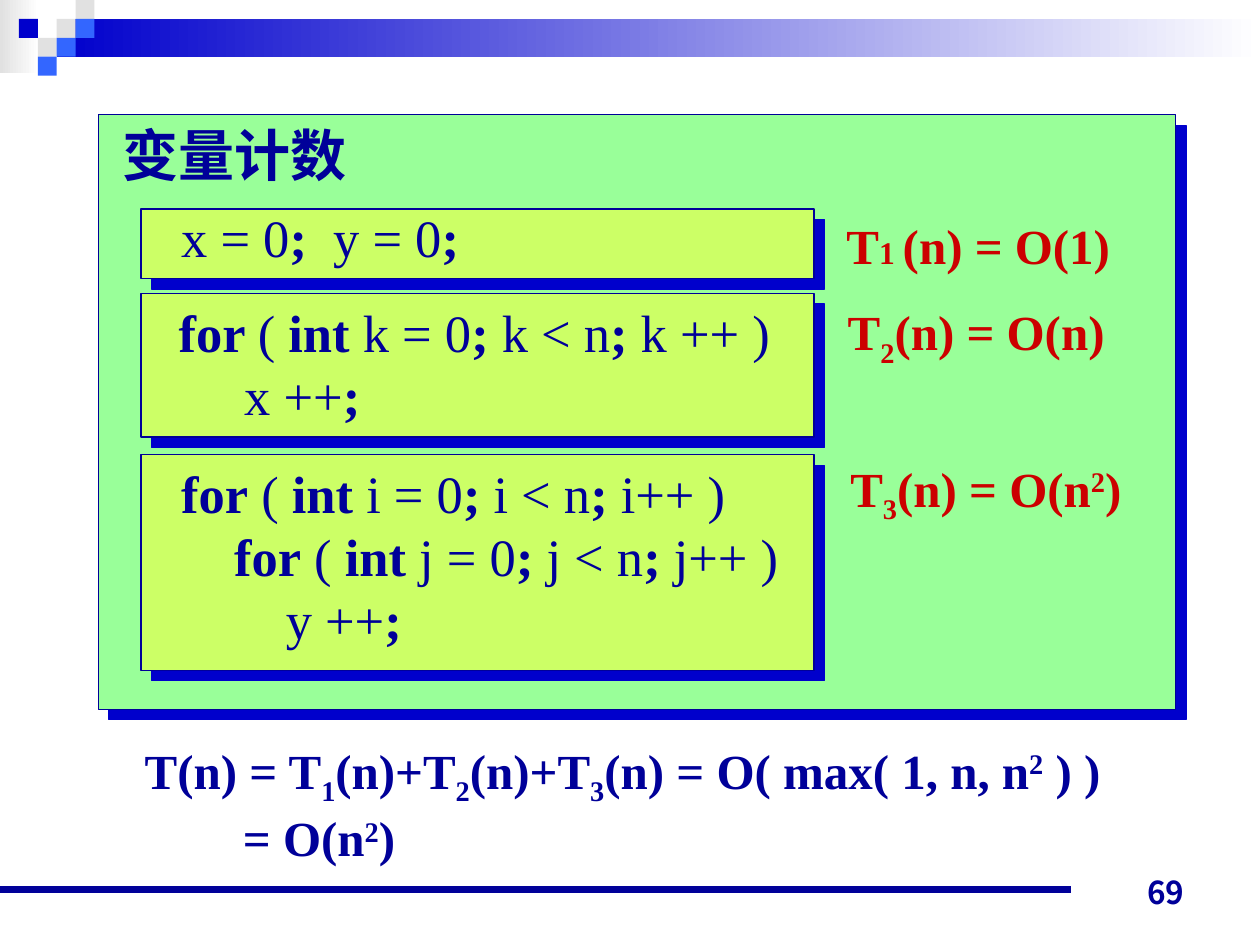
import pptx
import pptx.util
import pptx.dml.color
import pptx.enum.shapes
import pptx.enum.text
import pptx.oxml
import pptx.oxml.ns
from pptx.util import Inches

NAVY, BLUE, SKY, GREY, WHITE, RED = "000099", "0000CC", "3366FF", "E1E1E1", "FFFFFF", "CC0000"
GREEN, LIME = "99FF99", "CCFF66"
SERIF, SANS = "Times New Roman", "Noto Sans CJK JP"

# Content: "|" parts the runs; a leading * is bold, _ subscript, ^ superscript, ~ small.
# Each line is (left indent, markup).
heading = "变量计数"
page_number = "69"
code_blocks = [
    # panel top, panel height, text box, lines
    (1.66, 0.55, (1.34, 1.58, 2.4, 0.6), [(0, "x = 0|*;|  y = 0|*;")]),
    (2.33, 1.14, (1.32, 2.33, 4.9, 1.1), [
        (0, "*for |(|* int| k = 0|*;| k < n|*;| k ++ )"),
        (0.52, "x ++|*;")]),
    (3.61, 1.71, (1.34, 3.61, 4.93, 1.6), [
        (0, "*for| (|* int |i = 0|*;| i < n|*;| i++ )"),
        (0.42, "*for| (|* int| j = 0|*;| j < n|*;| j++ )"),
        (0.83, "y ++|*;")]),
]
# box, colour, lines
formulas = [
    ((6.62, 1.66, 2.3, 0.57), RED, [(0, "T|~1 |(n) = O(1)")]),
    ((6.63, 2.35, 2.24, 0.63), RED, [(0, "T|_2|(n) = O(n)")]),
    ((6.65, 3.59, 2.35, 0.63), RED, [(0, "T|_3|(n) = O(n|^2|)")]),
    ((1.05, 5.83, 7.79, 1.1), NAVY, [
        (0, "T(n) = T|_1|(n)+T|_2|(n)+T|_3|(n) = O( max( 1, n, n|^2| ) )"),
        (0.78, "= O(n|^2|)")]),
]
# Banner squares as (column, row, colour) on a 0.15 inch grid
squares = [(3, 1, GREY), (4, 0, GREY), (4, 1, SKY), (2, 2, GREY),
           (1, 1, BLUE), (3, 2, SKY), (2, 3, SKY)]
SQUARE = 0.15

prs = pptx.Presentation()
prs.slide_width, prs.slide_height = Inches(10), Inches(7.5)
slide = prs.slides.add_slide(prs.slide_layouts[5])


def rgb(value):
    return pptx.dml.color.RGBColor.from_string(value)


def add_rect(left, top, width, height, *colours):
    """A borderless rectangle; two colours make a gradient to the right."""
    rect = slide.shapes.add_shape(pptx.enum.shapes.MSO_SHAPE.RECTANGLE,
                                  *map(Inches, (left, top, width, height)))
    rect.shadow.inherit = False
    rect.line.fill.background()
    if len(colours) == 1:
        rect.fill.solid()
        rect.fill.fore_color.rgb = rgb(colours[0])
    else:
        rect.fill.gradient()
        rect.fill.gradient_angle = 0
        for stop, colour, position in zip(rect.fill.gradient_stops, colours, (0, 1)):
            stop.color.rgb = rgb(colour)
            stop.position = position
    return rect


def add_panel(left, top, width, height, colour):
    """An outlined rectangle with a hard shadow to the lower right."""
    panel = add_rect(left, top, width, height, colour)
    panel.line.color.rgb = rgb(NAVY)
    panel.line.width = pptx.util.Pt(0.75)
    effects = panel.element.spPr.find(pptx.oxml.ns.qn("a:effectLst"))
    effects.append(pptx.oxml.parse_xml(
        f'<a:outerShdw {pptx.oxml.ns.nsdecls("a")} blurRad="0" dist="107950" dir="2700000" '
        f'algn="ctr" rotWithShape="0"><a:srgbClr val="{BLUE}"/></a:outerShdw>'))


def style_run(run, size, colour, bold, face=SERIF):
    run.font.size = pptx.util.Pt(size)
    run.font.name = face
    run.font.bold = bold
    run.font.color.rgb = rgb(colour)


def keep_on_one_line(frame):
    """Turn wrapping off and free the right inset as slack for tight boxes."""
    frame.word_wrap = False
    frame.margin_right = 0


def add_text(box, lines, size, colour, bold):
    frame = slide.shapes.add_textbox(*map(Inches, box)).text_frame
    keep_on_one_line(frame)
    for number, (indent, markup) in enumerate(lines):
        paragraph = frame.add_paragraph() if number else frame.paragraphs[0]
        # Subscripts need a deeper line
        paragraph.line_spacing = pptx.util.Pt(round(size * 1.2) + (4 if "_" in markup else 0))
        if indent:
            paragraph._p.get_or_add_pPr().set("marL", str(Inches(indent)))
        for part in markup.split("|"):
            mark = part[0] if part[0] in "*_^~" else ""
            run = paragraph.add_run()
            run.text = part[len(mark):]
            style_run(run, 18 if mark == "~" else size, colour, bold or mark == "*")
            if mark in ("_", "^"):
                run._r.get_or_add_rPr().set("baseline", "-25000" if mark == "_" else "30000")


# Banner and footer rule
add_rect(0, 0, 0.31, 0.58, GREY, WHITE)
add_rect(0.45, 0.15, 9.55, 0.3, BLUE, WHITE)
for column, row, colour in squares:
    add_rect(column * SQUARE, row * SQUARE, SQUARE, SQUARE, colour)
footer_rule = slide.shapes.add_connector(pptx.enum.shapes.MSO_CONNECTOR.STRAIGHT,
                                         0, Inches(7.06), Inches(8.5), Inches(7.06))
footer_rule.line.color.rgb = rgb(NAVY)
footer_rule.line.width = pptx.util.Pt(4.5)
footer_rule.element.spPr.append(pptx.oxml.parse_xml(
    f'<a:effectLst {pptx.oxml.ns.nsdecls("a")}/>'))

# Page number
number_frame = slide.shapes.add_textbox(*map(Inches, (7.17, 6.78, 2.33, 0.5))).text_frame
number_frame.word_wrap = True
number_frame.vertical_anchor = pptx.enum.text.MSO_ANCHOR.BOTTOM
number_frame.text = page_number
number_frame.paragraphs[0].alignment = pptx.enum.text.PP_ALIGN.RIGHT
style_run(number_frame.paragraphs[0].runs[0], 18, NAVY, True, SANS)

# Panels, with the heading brought in front of them
add_panel(0.78, 0.91, 8.55, 4.72, GREEN)
for top, height, box, lines in reversed(code_blocks):
    add_panel(1.12, top, 5.34, height, LIME)

title = slide.shapes.title
title.left, title.top, title.width, title.height = map(Inches, (0.87, 0.91, 1.98, 0.64))
title.text_frame.text = heading
keep_on_one_line(title.text_frame)
title.text_frame.auto_size = pptx.enum.text.MSO_AUTO_SIZE.NONE
title.text_frame.vertical_anchor = pptx.enum.text.MSO_ANCHOR.TOP
title.text_frame.paragraphs[0].alignment = pptx.enum.text.PP_ALIGN.LEFT
heading_run = title.text_frame.paragraphs[0].runs[0]
style_run(heading_run, 32, NAVY, True)
heading_run._r.rPr.find(pptx.oxml.ns.qn("a:latin")).addnext(pptx.oxml.parse_xml(
    f'<a:ea {pptx.oxml.ns.nsdecls("a")} typeface="{SANS}"/>'))
title.element.getparent().append(title.element)

# Code and running times
for top, height, box, lines in code_blocks:
    add_text(box, lines, 30, NAVY, False)
for box, colour, lines in formulas:
    add_text(box, lines, 28, colour, True)

prs.save("out.pptx")
